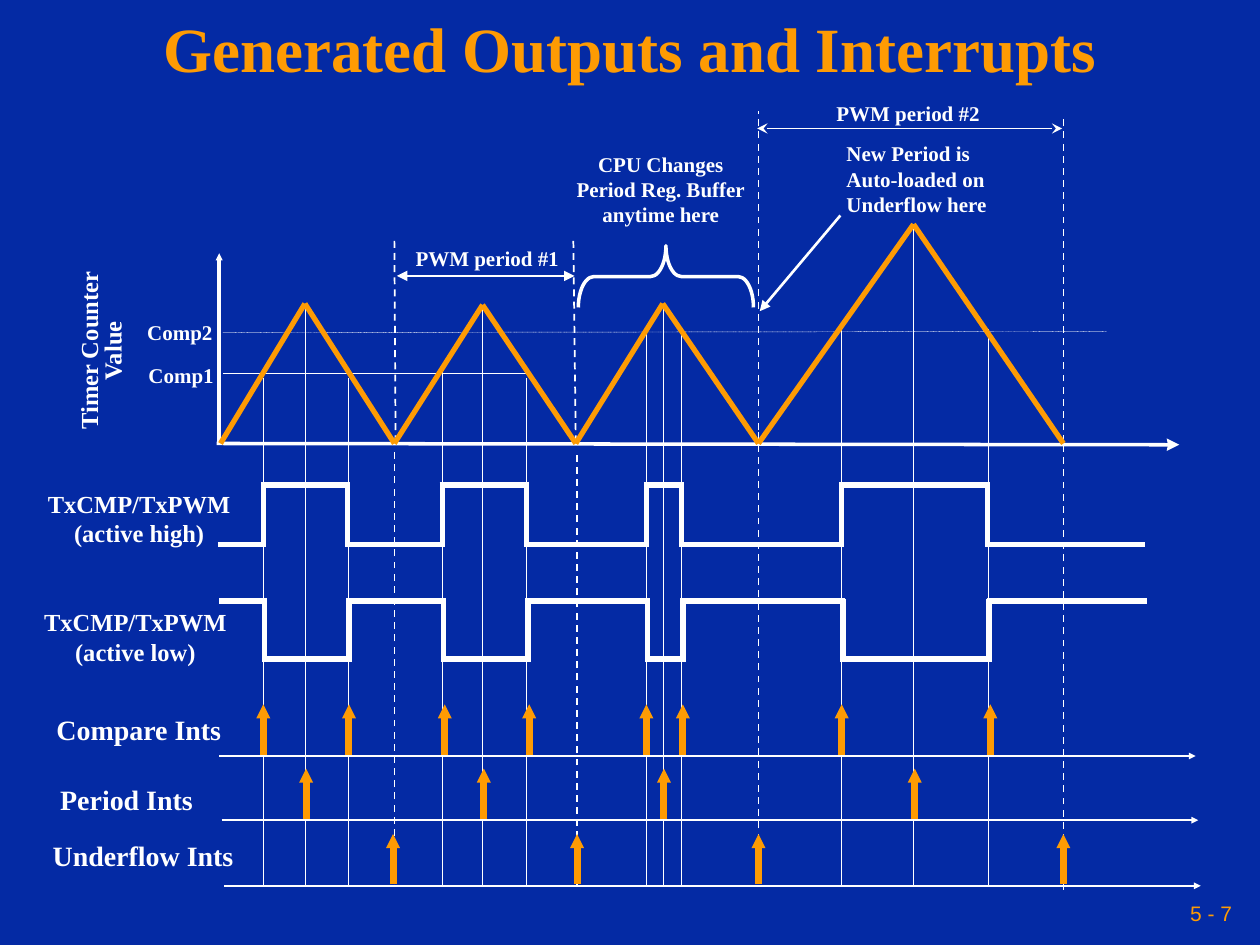
from itertools import pairwise

from lxml.etree import SubElement
from pptx import Presentation
from pptx.dml.color import RGBColor
from pptx.enum.dml import MSO_LINE_DASH_STYLE as Dash
from pptx.enum.shapes import MSO_CONNECTOR_TYPE as Link, MSO_SHAPE as Preset
from pptx.enum.text import MSO_ANCHOR as Anchor, MSO_AUTO_SIZE as AutoSize, PP_ALIGN as Align
from pptx.oxml.ns import qn
from pptx.util import Inches, Pt

COLORS = {"background": "042AA4", "accent": "FE9B03", "line": "FFFFFF"}
BASE_Y = 3.52
EDGES = [2.09, 2.76, 3.51, 4.18, 5.13, 5.41, 6.68, 7.84]
VALLEYS = [1.75, 3.13, 4.57, 6.02, 8.44]
PEAKS = [(2.42, 2.41), (3.83, 2.42), (5.26, 2.41), (7.25, 1.78)]


class TimingSlide:
    def __init__(self, page):
        self.page = page
        page.background.fill.solid()
        page.background.fill.fore_color.rgb = self.color("background")

    def color(self, name):
        return RGBColor.from_string(COLORS[name])

    def text(self, place, lines, size, color="line", font="Times New Roman", bold=True,
             align=Align.LEFT, wrap=True, insets=(0.1, 0.05), spacing=1.0,
             anchor=Anchor.TOP, grow=True, turned=False):
        box = self.page.shapes.add_textbox(*map(Inches, place))
        frame = box.text_frame
        side, edge = map(Inches, insets)
        frame_format = {
            "word_wrap": wrap, "vertical_anchor": anchor,
            "auto_size": AutoSize.SHAPE_TO_FIT_TEXT if grow else AutoSize.NONE,
            "margin_left": side, "margin_right": side,
            "margin_top": edge, "margin_bottom": edge,
        }
        for key, value in frame_format.items():
            setattr(frame, key, value)
        if turned:
            frame._txBody.bodyPr.set("vert", "vert270")
        for index, line in enumerate(lines):
            para = frame.add_paragraph() if index else frame.paragraphs[0]
            para.alignment = align
            para.line_spacing = spacing
            span = para.add_run()
            span.text = line
            for key, value in {"size": Pt(size), "name": font, "bold": bold}.items():
                setattr(span.font, key, value)
            span.font.color.rgb = self.color(color)

    def line(self, start, end, width, color="line", dash=None, head=None, tail=None, tip="med"):
        link = self.page.shapes.add_connector(Link.STRAIGHT, *map(Inches, (*start, *end)))
        link.line.color.rgb = self.color(color)
        link.line.width = Pt(width)
        if dash:
            link.line.dash_style = dash
        outline = link.line._get_or_add_ln()
        for tag, kind in (("a:headEnd", head), ("a:tailEnd", tail)):
            if kind:
                SubElement(outline, qn(tag), type=kind, w=tip, len=tip)
        SubElement(link._element.spPr, qn("a:effectLst"))

    def guide(self, start, end):
        self.line(start, end, 0.25, dash=Dash.ROUND_DOT)

    def period_mark(self, start, end):
        self.line(start, end, 1, dash=Dash.DASH)

    def interrupts(self, axis_left, axis_y, ticks):
        self.line((axis_left, axis_y), (axis_left + 7.75, axis_y), 1, tail="triangle", tip="sm")
        for x in ticks:
            self.line((x, axis_y - 0.01), (x, axis_y - 0.41), 4, "accent", tail="triangle", tip="sm")

    def wave(self, shift, first_level, second_level):
        levels = [first_level, second_level]
        reach = 0.02 if second_level > first_level else -0.02
        edges = [x + shift for x in EDGES]
        for x in edges:
            self.line((x, first_level - reach), (x, second_level + reach), 3)
        stops = [1.75 + shift, *edges, 9.07 + shift]
        for index, (left, right) in enumerate(pairwise(stops)):
            level = levels[index % 2]
            self.line((left - 0.02, level), (right + 0.02, level), 3)

    def brace(self, place):
        shape = self.page.shapes.add_shape(Preset.LEFT_BRACE, *map(Inches, place))
        shape.rotation = 90
        shape.adjustments[0] = 0.25
        shape.shadow.inherit = False
        shape.fill.background()
        shape.line.color.rgb = self.color("line")
        shape.line.width = Pt(2)

    def arrowhead(self, points):
        start, *rest = [tuple(map(Inches, point)) for point in points]
        builder = self.page.shapes.build_freeform(*start, scale=1.0)
        builder.add_line_segments(rest, close=True)
        shape = builder.convert_to_shape()
        shape.shadow.inherit = False
        shape.fill.solid()
        shape.fill.fore_color.rgb = self.color("line")
        shape.line.fill.background()


def main():
    deck = Presentation()
    deck.slide_width, deck.slide_height = Inches(10), Inches(7.5)
    slide = TimingSlide(deck.slides.add_slide(deck.slide_layouts[6]))

    slide.text((6.83, 7.08, 3, 0.33), ["5 - 7"], 12, "accent", "Arial", False, Align.RIGHT,
               insets=(0.05, 0.05), anchor=Anchor.MIDDLE, grow=False)
    slide.text((0, 0, 10, 0.83), ["Generated Outputs and Interrupts"], 36, "accent",
               align=Align.CENTER, insets=(0.05, 0.05), spacing=0.9,
               anchor=Anchor.MIDDLE, grow=False)

    for x, top in zip(EDGES, [3, 3, 2.92, 3, 2.63, 2.61, 2.58, 2.61]):
        slide.guide((x, top), (x, 7.03))
    for x, top in PEAKS:
        slide.guide((x, top), (x, 7.03))
    slide.guide((1.77, 2.96), (4.17, 2.96))
    slide.guide((1.77, 2.64), (8.78, 2.63))

    for x, middle, bottom in [(3.13, 3.57, 7.02), (4.58, 3.59, 7.04),
                              (6.02, 3.43, 6.96), (8.44, 3.53, 7.06)]:
        slide.period_mark((x, bottom), (x, middle))
    for x, top_x, top in [(3.14, 3.13, 1.91), (4.57, 4.55, 1.89),
                          (6.02, 6.02, 0.88), (8.44, 8.44, 0.92)]:
        slide.period_mark((x, 3.51), (top_x, top))

    slide.wave(0, 4.32, 3.85)
    slide.wave(0.01, 4.77, 5.23)
    for left, top, state in [(0.28, 3.83, "(active high)"), (0.25, 4.77, "(active low)")]:
        slide.text((left, top, 1.65, 0.57), ["TxCMP/TxPWM", state], 14,
                   align=Align.CENTER, wrap=False)

    slide.interrupts(1.74, 6, [2.09, 2.77, 3.53, 4.2, 5.13, 5.42, 6.68, 7.86])
    slide.interrupts(1.76, 6.51, [2.43, 3.84, 5.27, 7.26])
    slide.interrupts(1.78, 7.03, [3.12, 4.58, 6.02, 8.44])
    for left, top, width, label in [(0.35, 5.61, 1.54, "Compare Ints"),
                                    (0.38, 6.16, 1.26, "Period Ints"),
                                    (0.32, 6.61, 1.64, "Underflow Ints")]:
        slide.text((left, top, width, 0.37), [label], 16, wrap=False)

    slide.line((1.72, BASE_Y), (9.3, 3.53), 2)
    slide.arrowhead([(9.26, 3.58), (9.27, 3.53), (9.26, 3.48), (9.36, 3.53)])
    slide.line((1.74, BASE_Y), (1.74, 2.01), 2, tail="triangle", tip="sm")
    for (left, right), peak in zip(pairwise(VALLEYS), PEAKS):
        slide.line((left, BASE_Y), peak, 3, "accent")
        slide.line(peak, (right, BASE_Y), 3, "accent")

    slide.line((3.15, 2.19), (4.56, 2.19), 1, head="triangle", tail="triangle")
    slide.line((6.01, 1.02), (8.43, 1.02), 1, head="stealth", tail="stealth")
    slide.line((6.67, 1.71), (6.03, 2.47), 1.5, tail="triangle")
    slide.brace((5.04, 1.5, 0.49, 1.39))

    for place, label, wrap in [((3.2, 1.9, 1.34, 0.3), "PWM period #1", False),
                               ((6.54, 0.75, 1.34, 0.3), "PWM period #2", False),
                               ((1.08, 2.83, 0.72, 0.5), "Comp1", True),
                               ((1.07, 2.49, 0.72, 0.3), "Comp2", False),
                               ((6.62, 1.07, 1.4, 0.7),
                                "New Period is Auto-loaded on Underflow here", True)]:
        slide.text(place, [label], 12, wrap=wrap)
    slide.text((4.46, 1.15, 1.57, 0.7), ["CPU Changes", "Period Reg. Buffer", "anytime here"],
               12, align=Align.CENTER)
    slide.text((0.58, 1.92, 0.58, 1.73), ["Timer Counter Value"], 14, align=Align.CENTER,
               insets=(0.05, 0.1), spacing=0.8, turned=True)

    deck.save("out.pptx")


if __name__ == "__main__":
    main()
